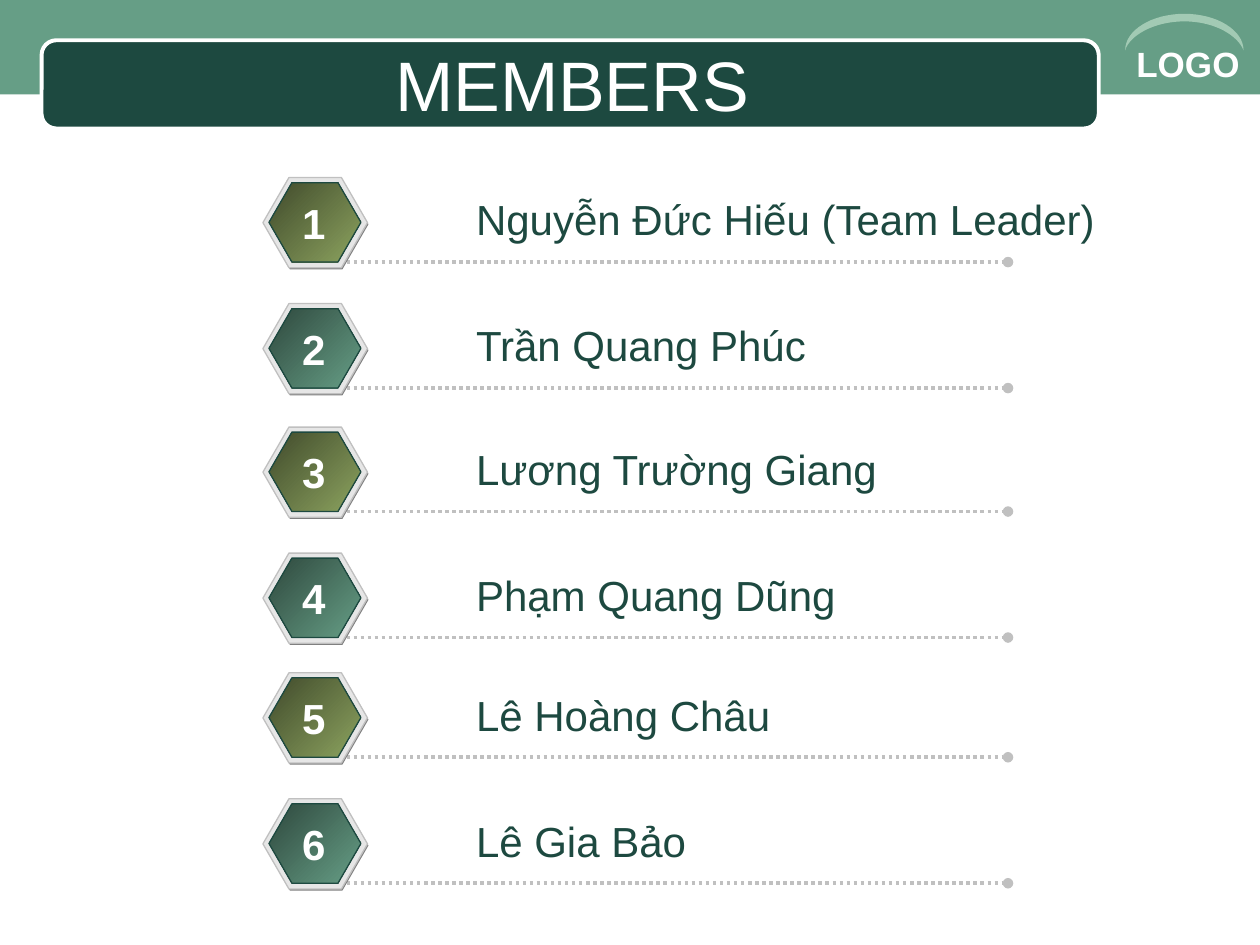
from dataclasses import dataclass

from lxml import etree
from pptx import Presentation
from pptx.dml.color import RGBColor
from pptx.enum.dml import MSO_LINE
from pptx.enum.shapes import MSO_CONNECTOR, MSO_SHAPE
from pptx.enum.text import MSO_ANCHOR, PP_ALIGN
from pptx.oxml.ns import qn
from pptx.util import Inches, Pt

RECT, ROUND_RECT, HEXAGON = MSO_SHAPE.RECTANGLE, MSO_SHAPE.ROUNDED_RECTANGLE, MSO_SHAPE.HEXAGON
STRAIGHT, DOTTED = MSO_CONNECTOR.STRAIGHT, MSO_LINE.ROUND_DOT
LEFT, CENTER = PP_ALIGN.LEFT, PP_ALIGN.CENTER
TOP, MIDDLE = MSO_ANCHOR.TOP, MSO_ANCHOR.MIDDLE

# Grid of 1000 columns by 750 rows, with square cells
COLS, ROWS = 1000, 750
SLIDE_W, SLIDE_H = Inches(10), Inches(7.5)
CELL = SLIDE_W // COLS


@dataclass(frozen=True)
class Theme:
    font: str = "Arial"
    white: str = "FFFFFF"
    band: str = "669E86"
    dark: str = "1D4940"
    arc: str = "A2CAB4"
    rim: str = "E6E6E6"
    grey: str = "C0C0C0"
    shade: str = "808080"
    gradients: tuple = (("414B2C", "8CA35F"), ("2F493E", "669E86"))
    title_size: int = 40
    item_size: int = 24
    logo_size: int = 20


THEME = Theme()
MEMBERS = [
    "Nguyễn Đức Hiếu (Team Leader)", "Trần Quang Phúc", "Lương Trường Giang",
    "Phạm Quang Dũng", "Lê Hoàng Châu", "Lê Gia Bảo",
]
PAIR_TOPS = (141, 339, 534)  # members come in pairs
PAIR_PITCH = 100


def cells(*values):
    return [round(v * CELL) for v in values]


def rgb(color):
    return RGBColor.from_string(color)


def style(sp, fill, line=None, width=0.75):
    """Fill with a colour or a pair of gradient colours, and set the outline."""
    sp.shadow.inherit = False
    if isinstance(fill, tuple):
        sp.fill.gradient()
        sp.fill.gradient_angle = 315
        for stop, color in zip(sp.fill.gradient_stops, fill):
            stop.color.rgb = rgb(color)
    else:
        sp.fill.solid()
        sp.fill.fore_color.rgb = rgb(fill)
    if line:
        sp.line.color.rgb = rgb(line)
        sp.line.width = Pt(width)
    else:
        sp.line.fill.background()


def add_shape(s, kind, box, fill, line=None, width=0.75, adj=()):
    sp = s.shapes.add_shape(kind, *cells(*box))
    for i, value in enumerate(adj):
        sp.adjustments[i] = value
    style(sp, fill, line, width)


def add_text(s, box, text, size, color, bold=False, align=LEFT, anchor=TOP, wrap=False):
    tf = s.shapes.add_textbox(*cells(*box)).text_frame
    tf.word_wrap = wrap
    tf.vertical_anchor = anchor
    p = tf.paragraphs[0]
    p.text = text
    p.alignment = align
    p.font.name = THEME.font
    p.font.size = Pt(size)
    p.font.bold = bold
    p.font.color.rgb = rgb(color)


def add_dotted_line(s, x1, x2, y):
    """Dotted rule that ends in a round dot."""
    line = s.shapes.add_connector(STRAIGHT, *cells(x1, y, x2, y))
    line.line.color.rgb = rgb(THEME.grey)
    line.line.width = Pt(2)
    line.line.dash_style = DOTTED
    etree.SubElement(line.line._get_or_add_ln(), qn("a:tailEnd"), type="oval")
    etree.SubElement(line._element.spPr, qn("a:effectLst"))


def bezier(points, steps=16):
    """Points along a cubic curve, without its start."""
    for i in range(1, steps + 1):
        t = i / steps
        weights = ((1 - t) ** 3, 3 * t * (1 - t) ** 2, 3 * t * t * (1 - t), t ** 3)
        yield tuple(sum(w * pt[k] for w, pt in zip(weights, points)) for k in (0, 1))


def add_arc(s):
    """Crescent over the logo word: inner edge leftwards, outer edge back."""
    right, left, mid = 987, 893, 940
    curves = [
        [(right, 40), (983, 29), (965, 17), (mid, 17)],
        [(mid, 17), (915, 17), (896, 29), (left, 40)],
        [(left, 40), (893, 24), (914, 11), (mid, 11)],
        [(mid, 11), (966, 11), (987, 24), (right, 40)],
    ]
    builder = s.shapes.build_freeform(*cells(right, 40))
    builder.add_line_segments([cells(*pt) for c in curves for pt in bezier(c)])
    style(builder.convert_to_shape(), THEME.arc)


def add_header(s):
    add_shape(s, RECT, (0, 0, COLS, 75), THEME.band)
    add_shape(s, ROUND_RECT, (33, 32, 839, 70), THEME.dark, THEME.white, 2.25, (0.167,))
    add_text(s, (892, 29, 108, 44), "LOGO", THEME.logo_size, THEME.white, bold=True, wrap=True)
    add_arc(s)
    add_text(s, (50, 35, 808, 62), "MEMBERS", THEME.title_size, THEME.white,
             align=CENTER, anchor=MIDDLE, wrap=True)


def add_badge(s, top, gradient):
    """Hexagon with a light rim and a thin shade below it."""
    adj = (0.289, 1.155)
    add_shape(s, HEXAGON, (209.5, top + 1.3, 83, 71.5), THEME.shade, adj=adj)
    add_shape(s, HEXAGON, (208.7, top, 83, 71.5), THEME.rim, THEME.grey, adj=adj)
    add_shape(s, HEXAGON, (213.5, top + 4, 73, 63), gradient, THEME.dark, adj=adj)


def add_member(s, index, name):
    pair, place = divmod(index, 2)
    top = PAIR_TOPS[pair] + place * PAIR_PITCH
    add_dotted_line(s, 275, 800, top + 67)
    add_badge(s, top, THEME.gradients[place])
    add_text(s, (368, top + 8, 514, 50), name, THEME.item_size, THEME.dark)
    add_text(s, (230, top + 10.5, 38, 50), str(index + 1), THEME.item_size, THEME.white,
             bold=True, align=CENTER)


def main():
    prs = Presentation()
    prs.slide_width, prs.slide_height = SLIDE_W, SLIDE_H
    s = prs.slides.add_slide(prs.slide_layouts[6])
    add_header(s)
    for index, name in enumerate(MEMBERS):
        add_member(s, index, name)
    prs.save("out.pptx")


if __name__ == "__main__":
    main()
